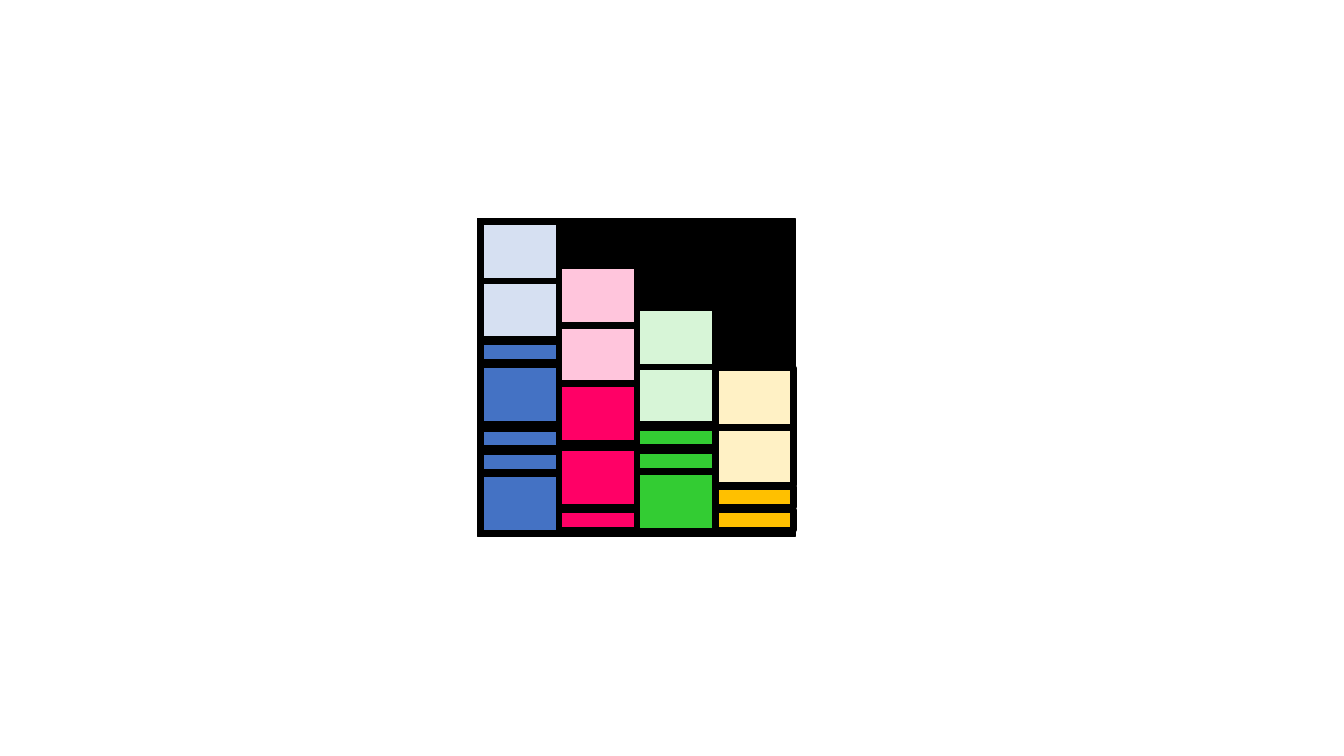
from dataclasses import dataclass

from pptx import Presentation
from pptx.dml.color import RGBColor
from pptx.enum.shapes import MSO_SHAPE as Kind
from pptx.shapes.group import GroupShape as Group
from pptx.util import Inches, Pt

LEFT, TOP = 4.77, 2.2
COL, ROW = 0.775, 0.2
TALL, THIN = 2.95, 1
PITCH = 2.85
BLACK = "000000"


@dataclass(frozen=True)
class Stack:
    """Rows of one column's pale pair, full bricks and thin bricks."""
    dark: str
    pale: str
    top: float
    full: tuple[float, ...]
    thin: tuple[float, ...]


STACKS = (
    Stack("4472C4", "D6E0F2", 0, (7.1, 12.5), (5.95, 10.25, 11.4)),
    Stack("FF0066", "FFC5DC", 2.2, (8.05, 11.2), (14.3,)),
    Stack("33CC33", "D7F5D7", 4.25, (12.4,), (10.2, 11.35)),
    Stack("FFC000", "FFF1C5", 7.25, (), (13.15, 14.3)),
)


def paint(ink: object, tint: str) -> None:
    """Give a fill a solid colour from a hex string."""
    ink.solid()
    ink.fore_color.rgb = RGBColor.from_string(tint)


def block(group: Group, col: float, row: float, wide: float, high: float,
          tint: str, edge: float = 4.5) -> None:
    """Draw one outlined rectangle placed on the grid."""
    box = group.shapes.add_shape(
        Kind.RECTANGLE, Inches(LEFT + col * COL), Inches(TOP + row * ROW),
        Inches(wide * COL), Inches(high * ROW))
    paint(box.fill, tint)
    paint(box.line.fill, BLACK)
    form = {box.line: {"width": Pt(edge)}, box.shadow: {"inherit": False}}
    for part, values in form.items():
        for name, value in values.items():
            setattr(part, name, value)


def pile(group: Group, col: int, stack: Stack) -> None:
    """Draw all bricks of one column."""
    for row in stack.full:
        block(group, col, row, 1, TALL, stack.dark)
    for row in stack.thin:
        block(group, col, row, 1, THIN, stack.dark)
    for row in (stack.top + PITCH, stack.top):
        block(group, col, row, 1, TALL, stack.pale)


def main() -> None:
    """Build and save the slide."""
    deck = Presentation()
    deck.slide_width, deck.slide_height = Inches(13.33), Inches(7.5)
    slide = deck.slides.add_slide(deck.slide_layouts[6])
    group = slide.shapes.add_group_shape()
    block(group, -0.04, -0.15, 4.06, 15.75, BLACK, 1)
    for col, stack in enumerate(STACKS):
        pile(group, col, stack)
    deck.save("out.pptx")


if __name__ == "__main__":
    main()
